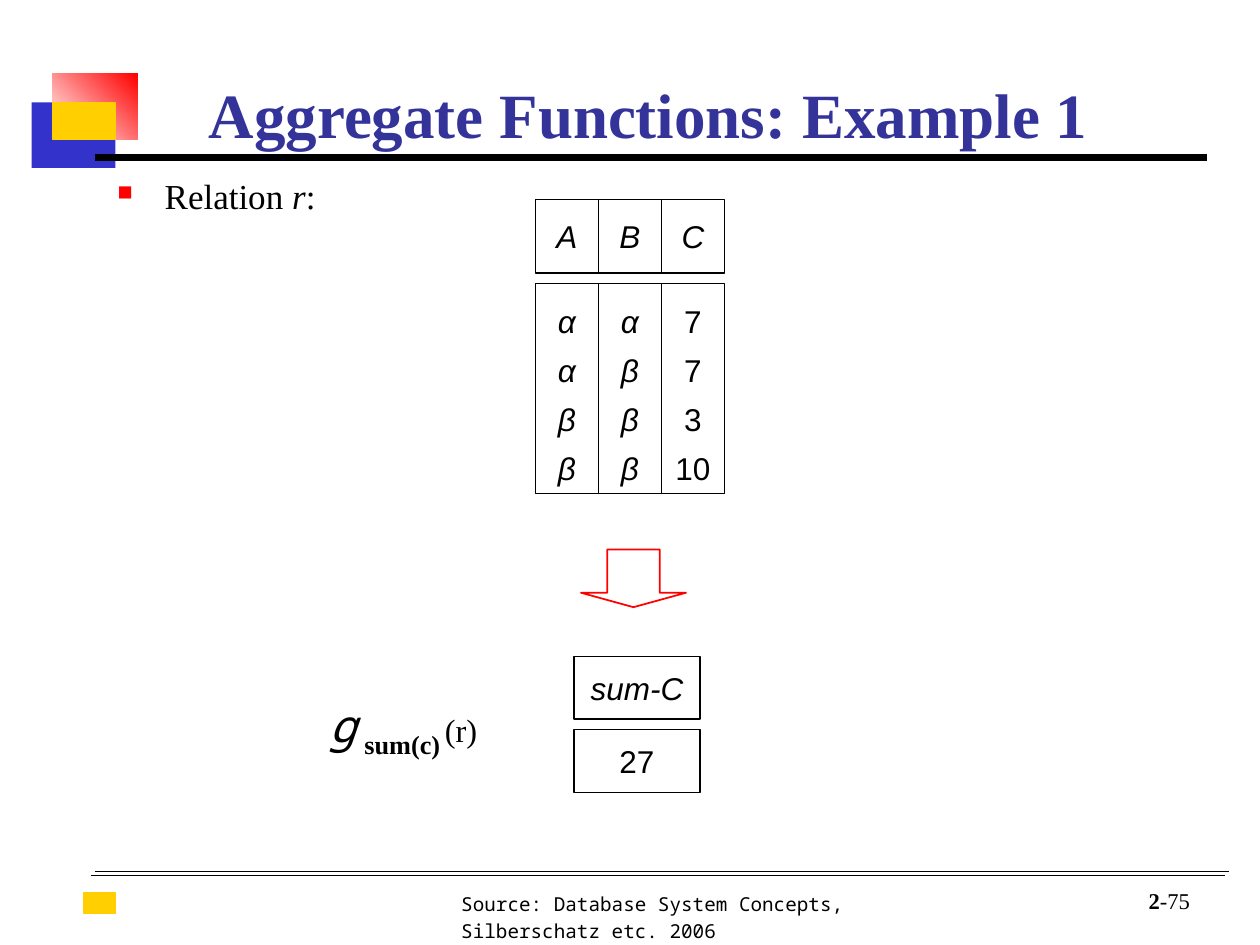
from lxml import etree
from pptx import Presentation
from pptx.dml.color import RGBColor
from pptx.enum.shapes import MSO_CONNECTOR, MSO_SHAPE
from pptx.enum.text import MSO_ANCHOR, PP_ALIGN
from pptx.oxml.ns import qn
from pptx.util import Pt

RECT, ARROW = MSO_SHAPE.RECTANGLE, MSO_SHAPE.DOWN_ARROW
STRAIGHT = MSO_CONNECTOR.STRAIGHT
TOP, MIDDLE, BOTTOM = MSO_ANCHOR.TOP, MSO_ANCHOR.MIDDLE, MSO_ANCHOR.BOTTOM
LEFT, CENTER, RIGHT = PP_ALIGN.LEFT, PP_ALIGN.CENTER, PP_ALIGN.RIGHT

THEME = {
    "ink": "000000", "paper": "FFFFFF", "title": "333399",
    "blue": "3333CC", "gold": "FFCF01", "red": "FF0000",
    "serif": "Times New Roman", "sans": "Arial", "mono": "Noto Sans Mono",
    "head": 36, "body": 20, "cell": 18, "note": 11, "page": 12.9,
    "op": 25.9, "arg": 18.5,
}

# Content: runs are (text, options)
TITLE = "Aggregate Functions: Example 1"
BULLET = [("Relation ", {}), ("r", {"italic": True}), (":", {})]
COLUMNS = [("A", "ααββ", True), ("B", "αβββ", True),
           ("C", ["7", "7", "3", "10"], False)]
RESULT = [("sum-C", True), ("27", False)]
FORMULA = [
    ("g", {"face": "mono", "size": "op", "italic": True}),
    (" ", {"bold": True}),
    ("sum(c)", {"size": "op", "bold": True, "base": -25}),
    (" ", {"bold": True, "base": -25}),
    ("(r)", {}),
]
SOURCE = "Source: Database System Concepts, Silberschatz etc. 2006"
PAGE = [("2", {"bold": True}), ("-75", {})]

# Frames: left, top, width, height; rules: x1, y1, x2, y2, weight
SQUARES = [(18, 58.5, 48, 37.5, "blue"), (30, 42, 48.5, 37.5, None),
           (30, 58.5, 36, 21, "gold"), (48, 510, 18, 12, "gold")]
RULES = [(54, 498, 702, 498, 0.5), (54, 90, 690, 90, 4.5),
         (52, 500.5, 700, 500.5, 0.5)]
GRID = {"left": 306, "top": 114, "wide": 36, "head": 42, "gap": 6, "body": 120}
SUM = {"left": 328, "top": 375, "wide": 72, "high": 36, "gap": 6}

deck = Presentation()
deck.slide_width, deck.slide_height = Pt(720), Pt(540)
slide = deck.slides.add_slide(deck.slide_layouts[6])
shapes = slide.shapes


def color(name):
    return RGBColor.from_string(THEME[name])


def style(run, face, size, ink="ink", bold=False, italic=False, base=0):
    font = run.font
    font.name, font.size = THEME[face], Pt(THEME[size])
    font.bold, font.italic = bold, italic
    font.color.rgb = color(ink)
    if base:
        run._r.get_or_add_rPr().set("baseline", str(base * 1000))


def write(frame, lines, face, size, align=LEFT, anchor=TOP, wrap=True,
          space=None):
    """Fill a text frame with lines, each a list of runs."""
    frame.word_wrap, frame.vertical_anchor = wrap, anchor
    for i, line in enumerate(lines):
        para = frame.add_paragraph() if i else frame.paragraphs[0]
        para.alignment = align
        if space:
            para.line_spacing = space
        for text, look in line:
            run = para.add_run()
            run.text = text
            style(run, **{"face": face, "size": size, **look})
    return frame.paragraphs[0]


def label(frame, runs, face, size, **rest):
    box = shapes.add_textbox(*map(Pt, frame))
    return write(box.text_frame, [runs], face, size, **rest)


def block(frame, fill=None, line=None, weight=0.75, kind=RECT):
    shape = shapes.add_shape(kind, *map(Pt, frame))
    shape.shadow.inherit = False
    if fill:
        shape.fill.solid()
        shape.fill.fore_color.rgb = color(fill)
    else:
        shape.fill.background()
    if line:
        shape.line.color.rgb = color(line)
        shape.line.width = Pt(weight)
    else:
        shape.line.fill.background()
    return shape


def cell(frame, texts, italic, space=None):
    shape = block(frame, "paper", "ink")
    lines = [[(text, {"italic": italic})] for text in texts]
    write(shape.text_frame, lines, "sans", "cell", CENTER, MIDDLE, False, space)


def hang(para, indent):
    props = para._p.get_or_add_pPr()
    props.set("marL", str(Pt(indent)))
    props.set("indent", str(-Pt(indent)))
    return props


# Corner squares and footer mark
for *frame, fill in SQUARES:
    shape = block(frame, fill, "gold" if fill == "gold" else None)
    if not fill:
        shape.fill.gradient()
        shape.fill.gradient_angle = 45
        for stop, name in zip(shape.fill.gradient_stops, ("paper", "red")):
            stop.color.rgb = color(name)

# Rules
for *ends, weight in RULES:
    rule = shapes.add_connector(STRAIGHT, *map(Pt, ends))
    rule.line.color.rgb = color("ink")
    rule.line.width = Pt(weight)
    etree.SubElement(rule._element.spPr, qn("a:effectLst"))

# Footer, title and bullet
label((256.5, 503.5, 313, 39), [(SOURCE, {})], "mono", "note", space=1.2)
label((627, 502, 60, 24), PAGE, "serif", "page", align=RIGHT, anchor=BOTTOM)
label((84, 36, 573, 54), [(TITLE, {"bold": True, "ink": "title"})],
      "serif", "head", align=CENTER, anchor=BOTTOM)
props = hang(label((60, 96, 144, 47), BULLET, "serif", "body"), 27)
tint = etree.SubElement(props, qn("a:buClr"))
etree.SubElement(tint, qn("a:srgbClr"), val=THEME["red"])
etree.SubElement(props, qn("a:buSzPct"), val="60000")
etree.SubElement(props, qn("a:buChar"), char="■")

# Relation r
for i, (name, values, italic) in enumerate(COLUMNS):
    x, y = GRID["left"] + i * GRID["wide"], GRID["top"]
    cell((x, y, GRID["wide"], GRID["head"]), [name], True)
    y += GRID["head"] + GRID["gap"]
    cell((x, y, GRID["wide"], GRID["body"]), values, italic, 1.3)

# Arrow, formula and result
block((332, 314, 60, 33), line="red", weight=1, kind=ARROW).adjustments[1] = 0.25
hang(label((181, 395.5, 127.5, 44), FORMULA, "serif", "arg", space=0.9), 27)
for i, (text, italic) in enumerate(RESULT):
    y = SUM["top"] + i * (SUM["high"] + SUM["gap"])
    cell((SUM["left"], y, SUM["wide"], SUM["high"]), [text], italic)

deck.save("out.pptx")
